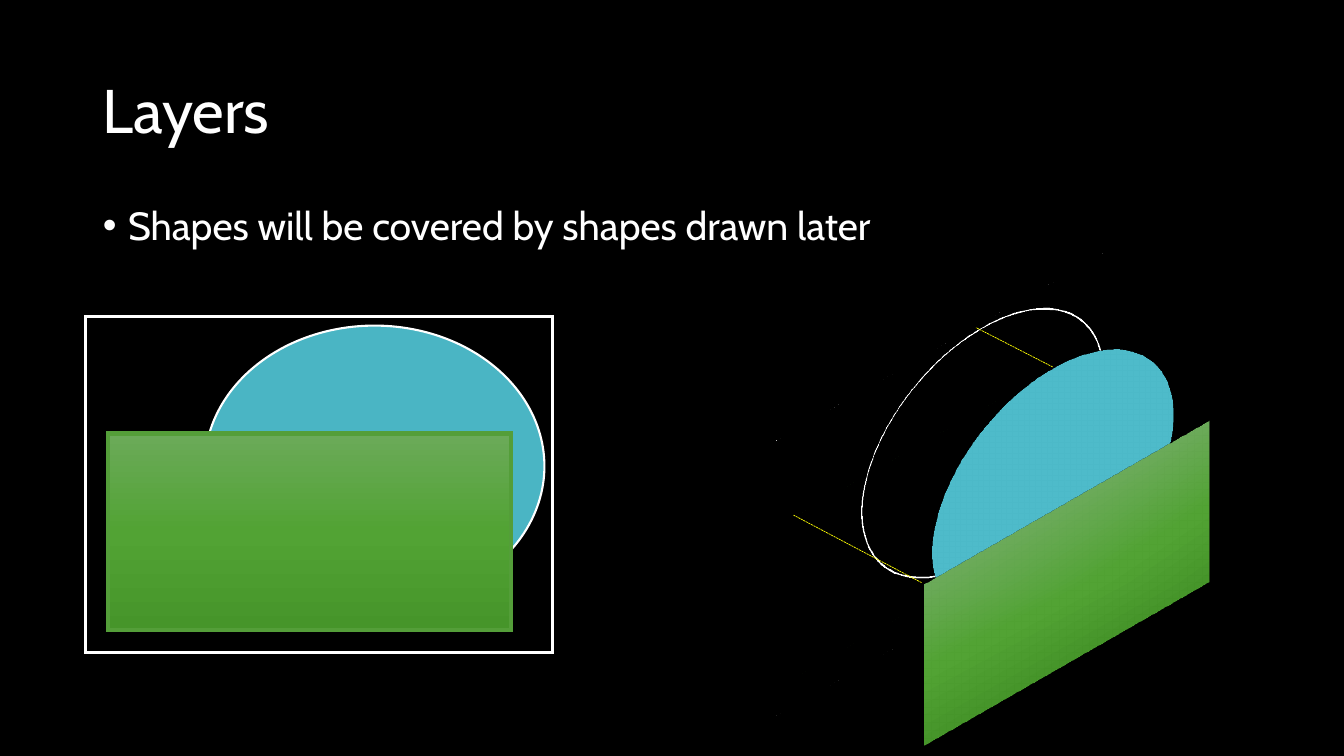
from lxml import etree
from pptx import Presentation
from pptx.dml.color import RGBColor
from pptx.enum.dml import MSO_LINE
from pptx.enum.shapes import MSO_CONNECTOR, MSO_SHAPE
from pptx.enum.text import MSO_ANCHOR, MSO_AUTO_SIZE, PP_ALIGN
from pptx.oxml.ns import qn
from pptx.util import Inches, Pt

RECTANGLE, OVAL = MSO_SHAPE.RECTANGLE, MSO_SHAPE.OVAL
STRAIGHT, DASH = MSO_CONNECTOR.STRAIGHT, MSO_LINE.SQUARE_DOT
LEFT, MIDDLE, TOP = PP_ALIGN.LEFT, MSO_ANCHOR.MIDDLE, MSO_ANCHOR.TOP
NO_FIT = MSO_AUTO_SIZE.NONE

BLACK = RGBColor(0x00, 0x00, 0x00)
WHITE = RGBColor(0xFF, 0xFF, 0xFF)
YELLOW = RGBColor(0xFF, 0xFF, 0x00)
BLUE = RGBColor(0x4A, 0xB5, 0xC4)
GREEN_EDGE = RGBColor(0x54, 0x9E, 0x39)
GREENS = [(0, RGBColor(0x6B, 0xAA, 0x59)), (50, RGBColor(0x52, 0xA3, 0x34)),
          (100, RGBColor(0x46, 0x95, 0x2A))]

# Content: text, place in inches, size in points, anchor
TITLE = ("Layers", (0.92, 0.4, 11.5, 1.45), 44, MIDDLE)
BODY = ("Shapes will be covered by shapes drawn later",
        (0.92, 2, 11.5, 4.76), 28, TOP)

# Kinds of layer: preset, size, line colour, line width, fill
KINDS = {
    "frame": (RECTANGLE, (4.63, 3.33), WHITE, 2.25, None),
    "oval": (OVAL, (3.37, 2.79), WHITE, 1.5, BLUE),
    "card": (RECTANGLE, (4, 1.95), GREEN_EDGE, 3, GREENS),
}
# Layers from back to front: kind, corner, filled
TILTED_LAYERS = [
    ("card", (7.32, 4.12), False),
    ("oval", (8.06, 3), False),
    ("frame", (7, 3.14), False),
    ("oval", (8.76, 3.4), True),
    ("card", (8.58, 4.81), True),
]
FLAT_LAYERS = [
    ("frame", (0.85, 3.14), False),
    ("oval", (2.03, 3.23), True),
    ("card", (1.07, 4.3), True),
]
GUIDES = [((10.44, 3.64), (9.68, 3.25)), ((9.14, 5.78), (7.87, 5.11))]


def inches(values):
    return [Inches(value) for value in values]


def paint_gradient(shape, stops):
    """Replace the solid fill by a gradient that runs downwards."""
    gradient = etree.Element(qn("a:gradFill"), rotWithShape="1")
    stop_list = etree.SubElement(gradient, qn("a:gsLst"))
    for position, color in stops:
        stop = etree.SubElement(stop_list, qn("a:gs"), pos=str(position * 1000))
        etree.SubElement(stop, qn("a:srgbClr"), val=str(color))
    etree.SubElement(gradient, qn("a:lin"), ang=str(90 * 60000), scaled="0")
    solid = shape._element.spPr.find(qn("a:solidFill"))
    solid.getparent().replace(solid, gradient)


def tilt(shape):
    """Turn the shape with an isometric camera."""
    scene = etree.SubElement(shape._element.spPr, qn("a:scene3d"))
    etree.SubElement(scene, qn("a:camera"), prst="isometricRightUp")
    etree.SubElement(scene, qn("a:lightRig"), rig="threePt", dir="t")


def draw_layer(slide, kind, corner, filled):
    preset, size, line_color, line_width, fill = KINDS[kind]
    shape = slide.shapes.add_shape(preset, *inches(corner + size))
    shape.shadow.inherit = False
    if filled:
        shape.fill.solid()
        if fill is GREENS:
            paint_gradient(shape, fill)
        else:
            shape.fill.fore_color.rgb = fill
    else:
        shape.fill.background()
    shape.line.color.rgb = line_color
    shape.line.width = Pt(line_width)
    etree.SubElement(shape._element.spPr.find(qn("a:ln")), qn("a:miter"), lim="800000")
    return shape


def draw_guide(slide, start, end):
    guide = slide.shapes.add_connector(STRAIGHT, *inches(start + end))
    guide.line.color.rgb = YELLOW
    guide.line.width = Pt(0.5)
    guide.line.dash_style = DASH
    etree.SubElement(guide._element.spPr, qn("a:effectLst"))


def fill_placeholder(box, content, bullet=False):
    text, place, size, anchor = content
    box.left, box.top, box.width, box.height = inches(place)
    frame = box.text_frame
    frame.text = text
    para = frame.paragraphs[0]
    if bullet:
        properties = para._p.get_or_add_pPr()
        properties.set("marL", str(Inches(0.25)))
        properties.set("indent", str(-Inches(0.25)))
        etree.SubElement(properties, qn("a:buFont"), typeface="Arial")
        etree.SubElement(properties, qn("a:buChar"), char="•")
    formats = [
        (frame, {"word_wrap": True, "auto_size": NO_FIT, "vertical_anchor": anchor}),
        (para, {"alignment": LEFT, "line_spacing": 0.9, "space_before": Pt(0)}),
        (para.runs[0].font, {"name": "Cabin", "size": Pt(size)}),
    ]
    for target, values in formats:
        for name, value in values.items():
            setattr(target, name, value)
    para.runs[0].font.color.rgb = WHITE


def main():
    deck = Presentation()
    deck.slide_width, deck.slide_height = inches((13.33, 7.5))
    slide = deck.slides.add_slide(deck.slide_layouts[1])
    slide.background.fill.solid()
    slide.background.fill.fore_color.rgb = BLACK
    fill_placeholder(slide.shapes.title, TITLE)
    fill_placeholder(slide.placeholders[1], BODY, bullet=True)

    # Tilted view on the right, with guides between its layers
    for layer in TILTED_LAYERS:
        tilt(draw_layer(slide, *layer))
    for start, end in GUIDES:
        draw_guide(slide, start, end)

    # Flat view on the left
    for layer in FLAT_LAYERS:
        draw_layer(slide, *layer)
    deck.save("out.pptx")


if __name__ == "__main__":
    main()
